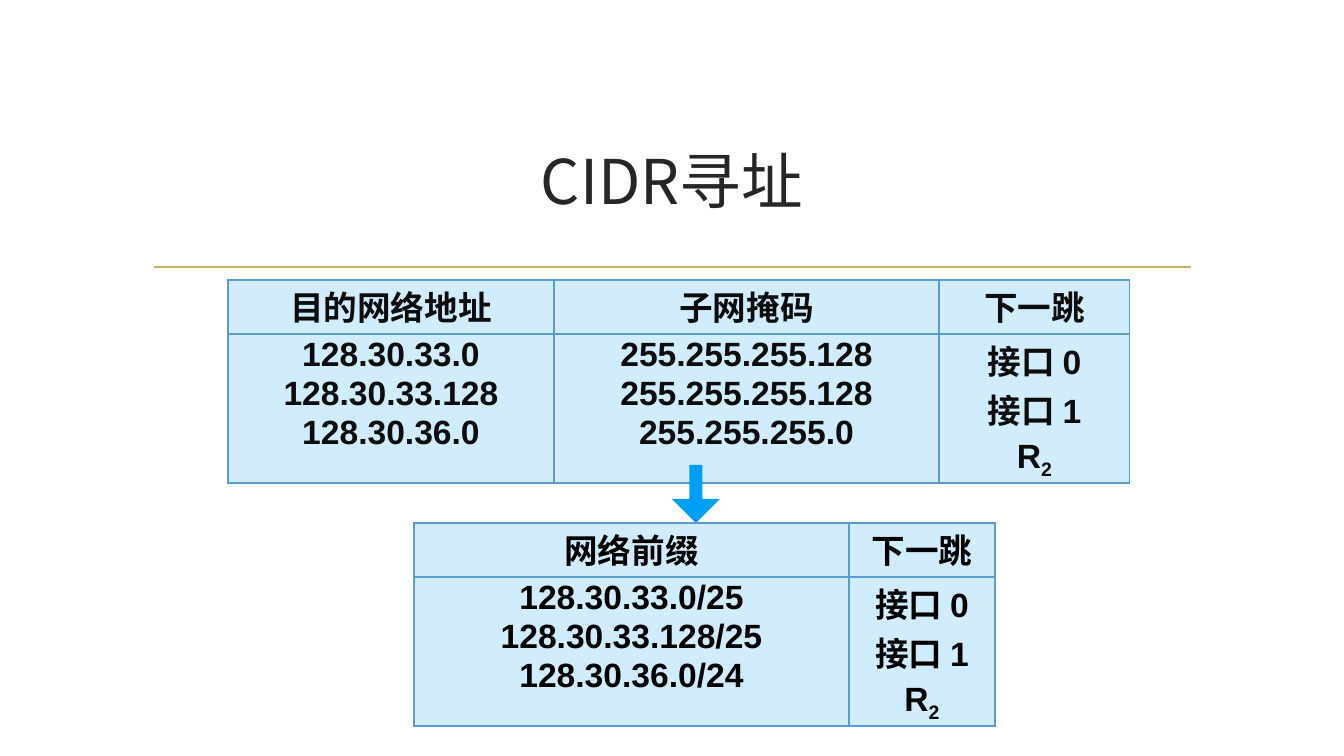
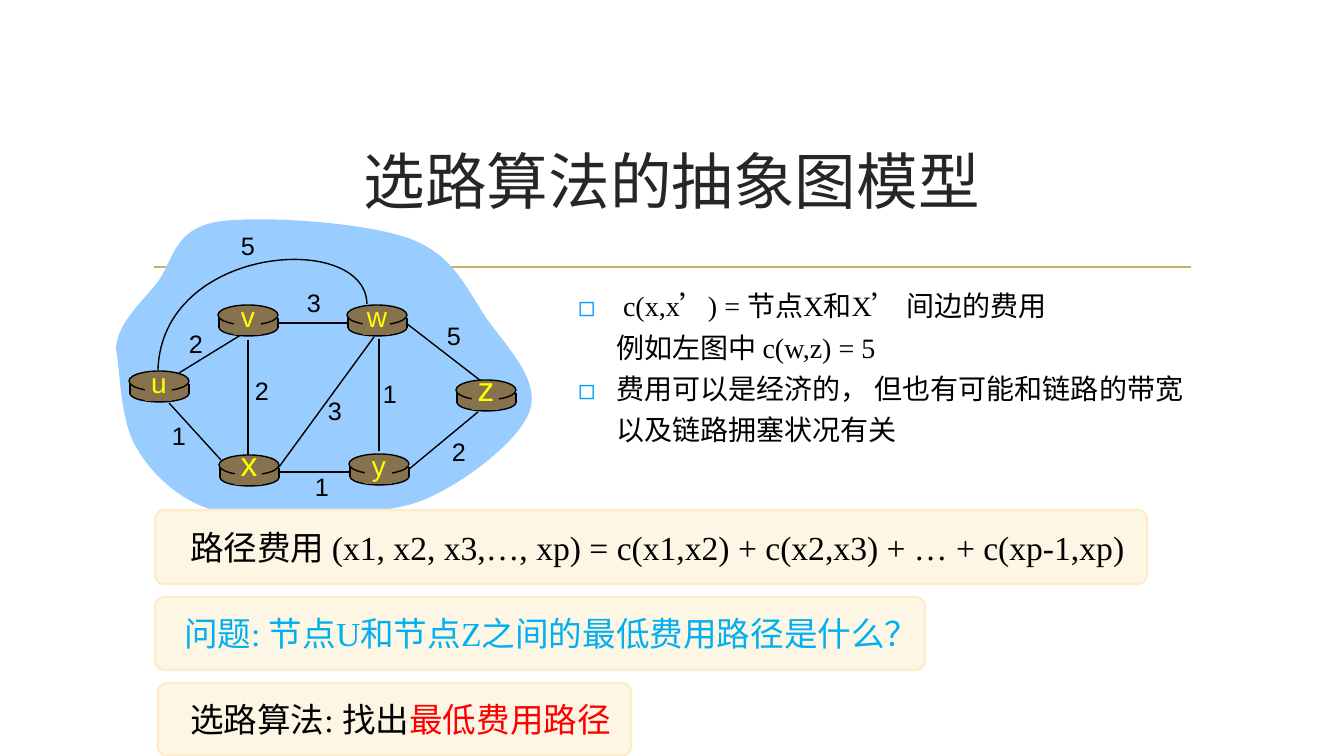
from lxml import etree
from pptx import Presentation
from pptx.dml.color import RGBColor
from pptx.enum.shapes import MSO_CONNECTOR, MSO_SHAPE
from pptx.enum.text import MSO_ANCHOR, MSO_AUTO_SIZE, PP_ALIGN
from pptx.oxml.ns import qn
from pptx.util import Pt

PX = 12192000 / 1344
STRAIGHT = MSO_CONNECTOR.STRAIGHT
OVAL, RECTANGLE = MSO_SHAPE.OVAL, MSO_SHAPE.RECTANGLE
ROUNDED, DOWN_ARROW = MSO_SHAPE.ROUNDED_RECTANGLE, MSO_SHAPE.DOWN_ARROW
MIDDLE, TOP = MSO_ANCHOR.MIDDLE, MSO_ANCHOR.TOP
LEFT, CENTER = PP_ALIGN.LEFT, PP_ALIGN.CENTER

COLORS = {
    "title": "262626", "rule": "CBAF62", "accent": "009FF6", "border": "5B9BD5",
    "dark": "0D0D0D", "black": "000000", "cloud": "99CCFF", "router": "86724D",
    "node": "FFFF00", "card": "FEF6E5", "card_line": "FDECC7",
    "question": "00B0F0", "answer": "FF0000",
}
CJK = "Noto Sans CJK SC"
TITLE_FONT = {"name": CJK, "size": Pt(44), "bold": False}
TABLE_FONT = {"name": "Arial", "size": Pt(24), "bold": True}
BODY_FONT = {"name": "Times New Roman", "size": Pt(20)}
CARD_FONT = {"name": "Times New Roman", "size": Pt(24)}
WEIGHT_FONT = {"name": "Arial", "size": Pt(18)}

TITLE_BOX = (143, 108, 1058, 144)
RULE = ((154, 267), (1191, 267))

HOPS = ["接口 0", "接口 1", "R_2"]
MASK_TABLE = [
    ("目的网络地址", ["128.30.33.0", "128.30.33.128", "128.30.36.0"], 326),
    ("子网掩码", ["255.255.255.128", "255.255.255.128", "255.255.255.0"], 385),
    ("下一跳", HOPS, 191),
]
PREFIX_TABLE = [
    ("网络前缀", ["128.30.33.0/25", "128.30.33.128/25", "128.30.36.0/24"], 435),
    ("下一跳", HOPS, 146),
]

CLOUD = [
    (16, 149), (17, 124), (40, 104), (57, 83), (73, 62), (73, 30), (116, 22),
    (157, 15), (263, 22), (308, 38), (354, 54), (367, 90), (387, 119),
    (407, 147), (440, 180), (430, 210), (421, 239), (367, 281), (328, 298),
    (290, 315), (241, 312), (202, 313), (165, 315), (131, 318), (104, 307),
    (75, 296), (49, 271), (35, 245), (20, 218), (20, 168), (16, 149),
]
ARC = [(267, 104), (266, 31), (62, 44), (58, 170)]
ARC_WEIGHT = ("5", (148, 45))
LINKS = [
    ((79, 173), (144, 133), "2", (96, 143)),
    ((148, 140), (148, 255), "2", (162, 190)),
    ((121, 260), (69, 203), "1", (79, 235)),
    ((179, 267), (274, 137), "3", (235, 210)),
    ((249, 272), (180, 272), "1", (222, 286)),
    ((279, 139), (279, 251), "1", (290, 193)),
    ((308, 270), (378, 212), "2", (359, 251)),
    ((381, 181), (306, 123), "5", (354, 135)),
    ((247, 123), (179, 123), "3", (214, 102)),
]
ROUTERS = [
    ("u", 29, 171, 20), ("x", 119, 255, 24), ("v", 118, 105, 20),
    ("w", 247, 105, 20), ("y", 249, 254, 20), ("z", 356, 180, 24),
]
POINTS = [
    " c(x,x’) = 节点X和X’ 间边的费用\v例如左图中 c(w,z) = 5",
    "费用可以是经济的， 但也有可能和链路的带宽以及链路拥塞状况有关",
]
CARDS = [
    ((155, 510, 992, 74), 35, [
        ("路径费用 (x1, x2, x3,…, xp) = c(x1,x2) + c(x2,x3) + … + c(xp-1,xp)", "black")]),
    ((155, 597, 770, 73), 29, [
        ("问题: 节点U和节点Z之间的最低费用路径是什么？", "question")]),
    ((158, 683, 473, 73), 32, [
        ("选路算法: 找出", "black"), ("最低费用路径", "answer")]),
]


def px(*values):
    return [round(value * PX) for value in values]


def rgb(color):
    return RGBColor.from_string(COLORS[color])


def child(parent, tag, **attributes):
    return etree.SubElement(parent, qn(tag), attributes)


def format_paragraph(paragraph, **values):
    for name, value in values.items():
        setattr(paragraph, name, value)


def add_run(paragraph, text, style, color):
    run = paragraph.add_run()
    run.text = text
    for name, value in style.items():
        setattr(run.font, name, value)
    run.font.color.rgb = rgb(color)
    child(run._r.get_or_add_rPr(), "a:ea", typeface=CJK)
    return run


def set_frame(frame, anchor=MIDDLE, wrap=True, insets=(0, 0, 0, 0)):
    frame.word_wrap = wrap
    frame.auto_size = MSO_AUTO_SIZE.NONE
    frame.vertical_anchor = anchor
    sides = ("margin_left", "margin_top", "margin_right", "margin_bottom")
    for side, inset in zip(sides, px(*insets)):
        setattr(frame, side, inset)


def place(shape, box):
    shape.left, shape.top, shape.width, shape.height = px(*box)


def paint(shape, fill=None, line=None, width=1):
    shape.shadow.inherit = False
    if fill:
        shape.fill.solid()
        shape.fill.fore_color.rgb = rgb(fill)
    else:
        shape.fill.background()
    if line:
        shape.line.color.rgb = rgb(line)
        shape.line.width = Pt(width)
    else:
        shape.line.fill.background()


def add_preset(shapes, kind, box, fill, line=None, width=1, adjustments=()):
    shape = shapes.add_shape(kind, *px(*box))
    paint(shape, fill, line, width)
    for index, value in enumerate(adjustments):
        shape.adjustments[index] = value
    return shape


def add_line(shapes, start, end, color="black", width=1):
    connector = shapes.add_connector(STRAIGHT, *px(*start, *end))
    connector.line.color.rgb = rgb(color)
    connector.line.width = Pt(width)
    child(connector._element.spPr, "a:effectLst")
    return connector


def add_curve(shapes, points, closed=False, **colors):
    start, *others = [tuple(px(*point)) for point in points]
    builder = shapes.build_freeform(*start)
    builder.add_line_segments(others, close=closed)
    shape = builder.convert_to_shape()
    paint(shape, **colors)
    outline = shape._element.find(".//" + qn("a:path"))
    segments = outline.findall(qn("a:lnTo"))
    for index in range(0, len(segments), 3):
        cubic = etree.Element(qn("a:cubicBezTo"))
        segments[index].addprevious(cubic)
        for segment in segments[index:index + 3]:
            cubic.append(segment[0])
            outline.remove(segment)


def add_label(shapes, center, text, style, color):
    x, y = center
    label = shapes.add_textbox(*px(x - 30, y - 22, 60, 44))
    set_frame(label.text_frame)
    paragraph = label.text_frame.paragraphs[0]
    paragraph.alignment = CENTER
    add_run(paragraph, text, style, color)


def add_master_rule(presentation, slide):
    rule = add_line(slide.shapes, *RULE, "rule", 1.25)
    presentation.slide_master.shapes._spTree.append(rule._element)


def set_title(slide, text):
    title = slide.shapes.title
    place(title, TITLE_BOX)
    set_frame(title.text_frame, insets=(9, 5, 9, 5))
    paragraph = title.text_frame.paragraphs[0]
    paragraph.alignment = CENTER
    add_run(paragraph, text, TITLE_FONT, "title")


def fill_cell(cell, lines, color):
    properties = cell._tc.get_or_add_tcPr()
    for side in ("L", "R", "T", "B"):
        border = child(properties, f"a:ln{side}", w=str(Pt(1)))
        child(child(border, "a:solidFill"), "a:srgbClr", val=COLORS["border"])
    cell.fill.solid()
    cell.fill.fore_color.rgb = rgb("accent")
    child(properties.find(".//" + qn("a:solidFill") + "[last()]/..")
          .findall(qn("a:solidFill"))[-1][0], "a:alpha", val="18000") \
        if properties.find(qn("a:solidFill")) is None else \
        child(properties.find(qn("a:solidFill"))[0], "a:alpha", val="18000")
    for index, line in enumerate(lines):
        frame = cell.text_frame
        paragraph = frame.add_paragraph() if index else frame.paragraphs[0]
        format_paragraph(paragraph, alignment=CENTER, line_spacing=0.9,
                         space_before=Pt(4 if index else 0))
        base, _, subscript = line.partition("_")
        add_run(paragraph, base, TABLE_FONT, color)
        if subscript:
            run = add_run(paragraph, subscript, TABLE_FONT, color)
            run._r.get_or_add_rPr().set("baseline", "-25000")


def add_routing_table(slide, left, top, columns, color):
    heights = (54, 149)
    width = sum(column[2] for column in columns)
    frame = slide.shapes.add_table(2, len(columns), *px(left, top, width, sum(heights)))
    table = frame.table
    table.first_row = table.horz_banding = False
    for row, height in zip(table.rows, px(*heights)):
        row.height = height
    for index, (heading, lines, column_width) in enumerate(columns):
        table.columns[index].width = px(column_width)[0]
        fill_cell(table.cell(0, index), [heading], color)
        fill_cell(table.cell(1, index), lines, color)


def add_router(shapes, name, left, top, size):
    add_preset(shapes, OVAL, (left + 1, top + 14, 59, 17), "router", "black")
    add_preset(shapes, RECTANGLE, (left + 1, top + 13, 59, 10), "router")
    for x in (left + 1, left + 60):
        add_line(shapes, (x, top + 13), (x, top + 23))
    add_preset(shapes, OVAL, (left, top, 60, 20), "router", "black")
    add_preset(shapes, RECTANGLE, (left + 16, top + 2, 27, 28), "router")
    rise = 11 if size == 20 else 8
    add_label(shapes, (left + 30, top + rise), name,
              {"name": "Arial", "size": Pt(size)}, "node")


def add_network(slide, left, top):
    def at(point):
        return point[0] + left, point[1] + top

    shapes = slide.shapes.add_group_shape().shapes
    add_curve(shapes, [at(point) for point in CLOUD], closed=True, fill="cloud")
    add_curve(shapes, [at(point) for point in ARC], line="black")
    for start, end, _, _ in LINKS:
        add_line(shapes, at(start), at(end))
    for name, x, y, size in ROUTERS:
        add_router(shapes, name, *at((x, y)), size)
    for weight, center in [ARC_WEIGHT] + [link[2:] for link in LINKS]:
        add_label(shapes, at(center), weight, WEIGHT_FONT, "black")


def fill_points(body, box):
    place(body, box)
    frame = body.text_frame
    set_frame(frame, TOP, insets=(10, 5, 10, 5))
    for index, text in enumerate(POINTS):
        paragraph = frame.add_paragraph() if index else frame.paragraphs[0]
        properties = paragraph._p.get_or_add_pPr()
        indent = px(38)[0]
        properties.set("marL", str(indent))
        properties.set("indent", str(-indent))
        child(child(properties, "a:buClr"), "a:srgbClr", val=COLORS["accent"])
        child(properties, "a:buFont", typeface=CJK)
        child(properties, "a:buChar", char="◻")
        format_paragraph(paragraph, alignment=LEFT, line_spacing=1.23, space_before=Pt(0))
        for part, line in enumerate(text.split("\v")):
            if part:
                paragraph.add_line_break()
            add_run(paragraph, line, BODY_FONT, "black")


def add_card(slide, box, inset, runs):
    left, top, width, height = box
    shapes = slide.shapes.add_group_shape().shapes
    add_preset(shapes, ROUNDED, box, "card", "card_line", 1.5, [0.12])
    label = shapes.add_textbox(*px(left + inset, top, width + 30, height))
    set_frame(label.text_frame)
    for text, color in runs:
        add_run(label.text_frame.paragraphs[0], text, CARD_FONT, color)


def build_addressing(slide):
    set_title(slide, "CIDR寻址")
    add_routing_table(slide, 228, 280, MASK_TABLE, "dark")
    add_preset(slide.shapes, DOWN_ARROW, (672, 465, 48, 58), "accent",
               adjustments=[0.27, 0.5])
    add_routing_table(slide, 414, 523, PREFIX_TABLE, "black")


def build_graph_model(slide):
    set_title(slide, "选路算法的抽象图模型")
    add_network(slide, 100, 200)
    fill_points(slide.placeholders[1], (568, 276, 649, 208))
    for card in CARDS:
        add_card(slide, *card)


def main():
    presentation = Presentation()
    presentation.slide_width, presentation.slide_height = px(1344, 756)
    layouts = presentation.slide_layouts
    addressing = presentation.slides.add_slide(layouts[5])
    add_master_rule(presentation, addressing)
    build_addressing(addressing)
    build_graph_model(presentation.slides.add_slide(layouts[1]))
    presentation.save("out.pptx")


if __name__ == "__main__":
    main()
